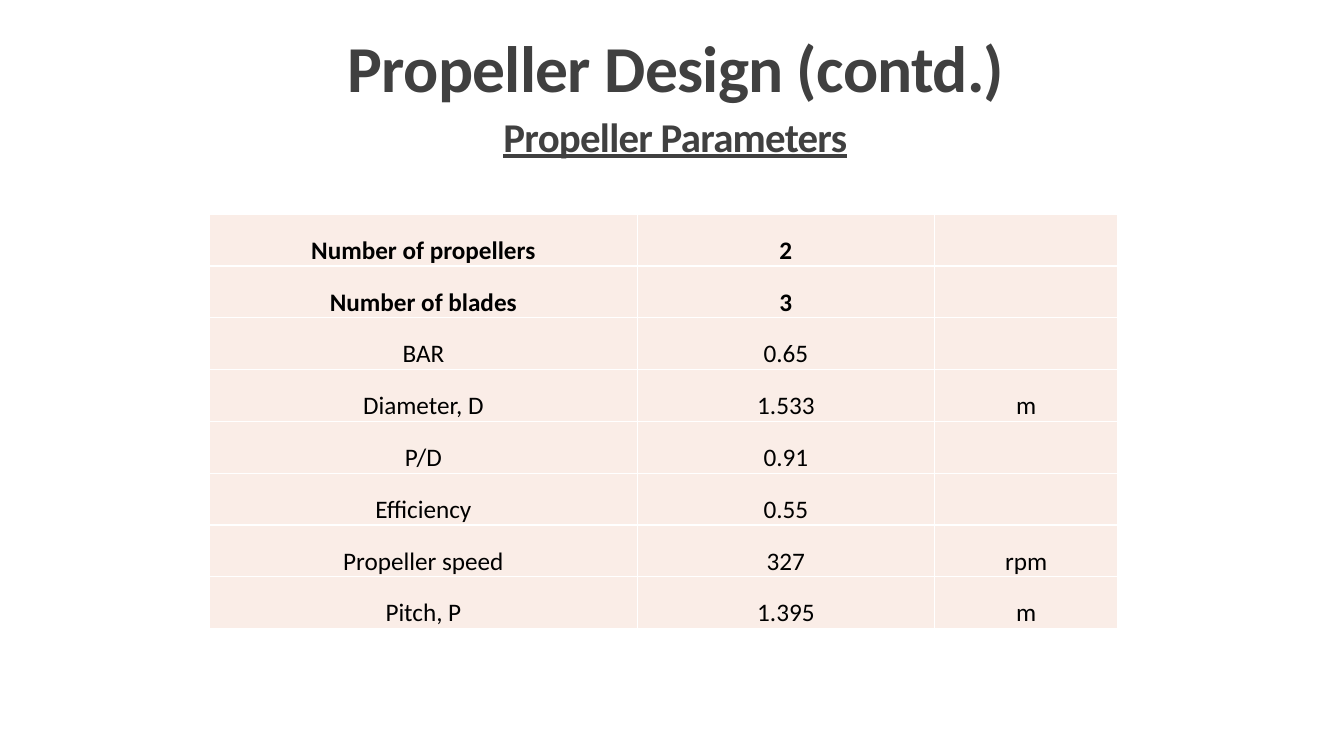
"""Build the propeller parameters slide."""
import pptx
import pptx.dml.color
import pptx.enum.text
import pptx.oxml
import pptx.oxml.ns
import pptx.util
from pptx.util import Cm

HEADING_COLOR = pptx.dml.color.RGBColor(0x40, 0x40, 0x40)
TABLE_TEXT_COLOR = pptx.dml.color.RGBColor(0x00, 0x00, 0x00)
CELL_COLOR = pptx.dml.color.RGBColor(0xFA, 0xED, 0xE7)
BORDER_COLOR = pptx.dml.color.RGBColor(0xFF, 0xFF, 0xFF)

PARAMETERS = [
    ("Number of propellers", "2", ""),
    ("Number of blades", "3", ""),
    ("BAR", "0.65", ""),
    ("Diameter, D", "1.533", "m"),
    ("P/D", "0.91", ""),
    ("Efficiency", "0.55", ""),
    ("Propeller speed", "327", "rpm"),
    ("Pitch, P", "1.395", "m"),
]
COLUMN_WIDTHS = [10.78, 7.49, 4.62]
BOLD_ROWS = 2


def write_text(text_frame, text, color, font_format):
    paragraph = text_frame.paragraphs[0]
    paragraph.alignment = pptx.enum.text.PP_ALIGN.CENTER
    run = paragraph.add_run()
    run.text = text
    run.font.name = "Calibri"
    run.font.color.rgb = color
    for name, value in font_format.items():
        setattr(run.font, name, value)
    return paragraph, run


presentation = pptx.Presentation()
presentation.slide_width = Cm(33.87)
presentation.slide_height = Cm(19.05)
slide = presentation.slides.add_slide(presentation.slide_layouts[5])

title = slide.shapes.title
subtitle = slide.shapes.add_textbox(0, 0, Cm(1), Cm(1))
headings = [
    (title, "Propeller Design (contd.)", (0.74, 0.86, 32.59, 4.04),
     {"size": pptx.util.Pt(46.8), "bold": True}),
    (subtitle, "Propeller Parameters", (3.05, 2.87, 27.94, 4.04),
     {"size": pptx.util.Pt(29.2), "bold": True, "underline": True}),
]
for shape, text, box, font_format in headings:
    for name, length in zip(("left", "top", "width", "height"), box):
        setattr(shape, name, Cm(length))
    text_frame = shape.text_frame
    text_frame.word_wrap = True
    text_frame.auto_size = pptx.enum.text.MSO_AUTO_SIZE.NONE
    text_frame.vertical_anchor = pptx.enum.text.MSO_ANCHOR.TOP
    paragraph, run = write_text(text_frame, text, HEADING_COLOR, font_format)
    paragraph.line_spacing = 0.85
    run.font._element.set("spc", "-50")

table = slide.shapes.add_table(
    len(PARAMETERS), len(COLUMN_WIDTHS),
    Cm(5.28), Cm(5.4), Cm(sum(COLUMN_WIDTHS)), Cm(10.44),
).table
table.first_row = False
table.horz_banding = False
for column, width in zip(table.columns, COLUMN_WIDTHS):
    column.width = Cm(width)

cell_format = {
    "margin_left": Cm(0.03),
    "margin_top": Cm(0.03),
    "margin_right": Cm(0.03),
    "margin_bottom": 0,
    "vertical_anchor": pptx.enum.text.MSO_ANCHOR.BOTTOM,
}
for row_index, values in enumerate(PARAMETERS):
    font_format = {"size": pptx.util.Pt(18), "bold": row_index < BOLD_ROWS}
    for column_index, value in enumerate(values):
        cell = table.cell(row_index, column_index)
        for name, setting in cell_format.items():
            setattr(cell, name, setting)
        if value:
            write_text(cell.text_frame, value, TABLE_TEXT_COLOR, font_format)
        properties = cell._tc.get_or_add_tcPr()
        for side in ("lnL", "lnR", "lnT", "lnB"):
            properties.append(pptx.oxml.parse_xml(
                f'<a:{side} {pptx.oxml.ns.nsdecls("a")} w="{pptx.util.Pt(1)}">'
                f'<a:solidFill><a:srgbClr val="{BORDER_COLOR}"/></a:solidFill>'
                f'</a:{side}>'))
        cell.fill.solid()
        cell.fill.fore_color.rgb = CELL_COLOR

presentation.save("out.pptx")
